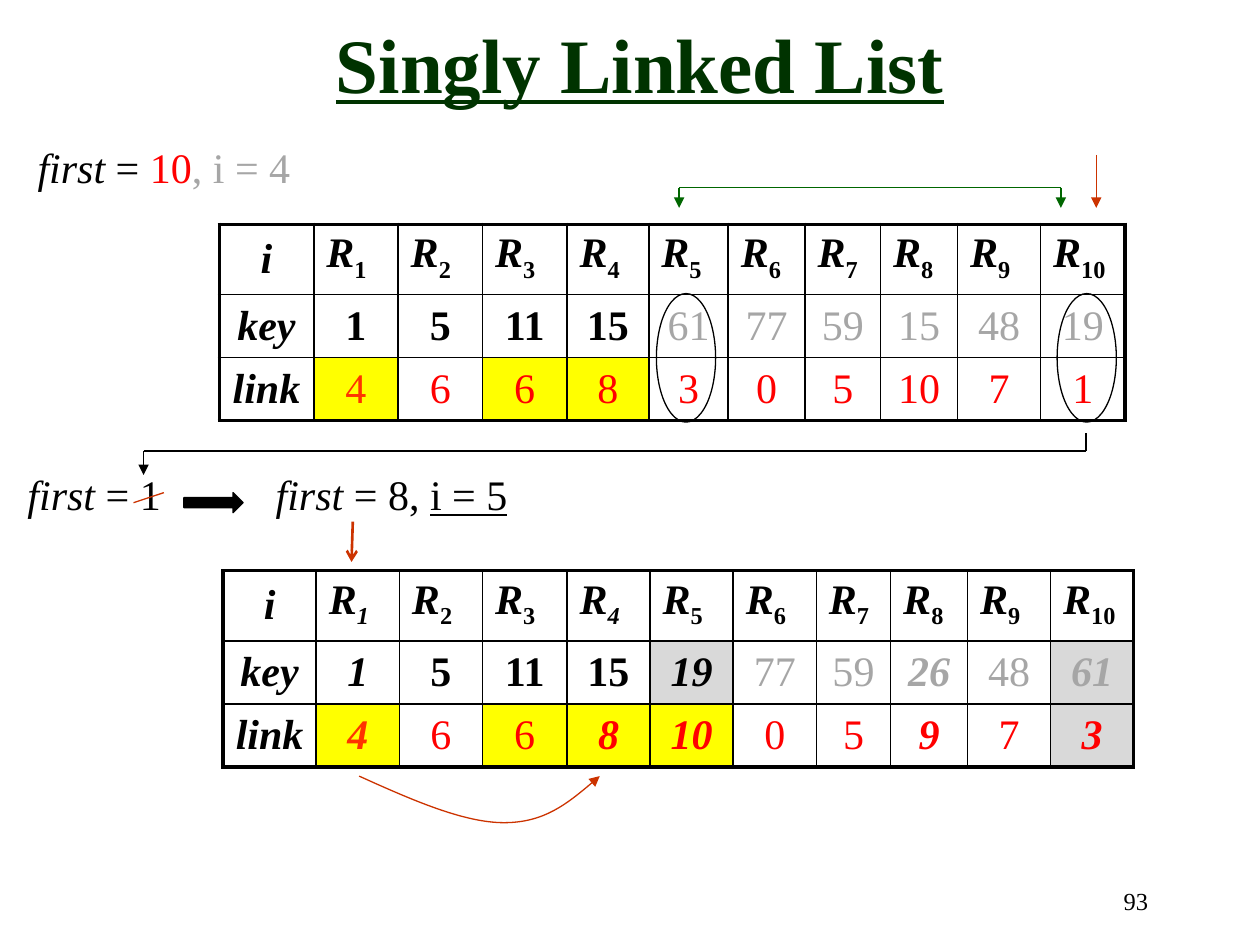
from dataclasses import dataclass
from itertools import product

from lxml.etree import SubElement
from pptx import Presentation
from pptx.dml.color import RGBColor
from pptx.enum.shapes import MSO_CONNECTOR as Connector, MSO_SHAPE as Preset
from pptx.enum.text import MSO_ANCHOR as Anchor, MSO_AUTO_SIZE as AutoSize, PP_ALIGN as Align
from pptx.oxml.ns import qn
from pptx.util import Emu, Pt


def px(length):
    """100 px to the inch."""
    return Emu(length * 9144)


@dataclass(frozen=True)
class Theme:
    font: str = "Times New Roman"
    title_size: int = 44
    body_size: int = 24
    number_size: int = 14
    thin: float = 0.75
    rule: float = 1
    frame: float = 2.25
    black: str = "000000"
    title: str = "003300"
    red: str = "FF0000"
    orange: str = "FF3300"
    muted: str = "A6A6A6"
    swap: str = "006600"
    pointer: str = "CC3300"
    yellow: str = "FFFF00"
    shade: str = "D9D9D9"


THEME = Theme()


@dataclass(frozen=True)
class ListState:
    widths: tuple
    keys: tuple
    links: tuple
    sorted_count: int
    yellow_links: set
    changed: frozenset = frozenset()  # (row, column) in bold italics
    shaded: frozenset = frozenset()
    italic_subscripts: frozenset = frozenset()


BEFORE = ListState(
    widths=(75, 67, 67, 67, 65, 63, 61, 60, 61, 66, 67),
    keys=(1, 5, 11, 15, 61, 77, 59, 15, 48, 19),
    links=(4, 6, 6, 8, 3, 0, 5, 10, 7, 1),
    sorted_count=4, yellow_links={1, 3, 4})
AFTER = ListState(
    widths=(74, 66, 66, 67, 66, 66, 66, 59, 61, 66, 66),
    keys=(1, 5, 11, 15, 19, 77, 59, 26, 48, 61),
    links=(4, 6, 6, 8, 10, 0, 5, 9, 7, 3),
    sorted_count=5, yellow_links={1, 3, 4, 5},
    changed=frozenset({(1, 1), (1, 5), (1, 8), (1, 10),
                       (2, 1), (2, 4), (2, 5), (2, 8), (2, 10)}),
    shaded=frozenset({(1, 5), (1, 10), (2, 10)}),
    italic_subscripts=frozenset({1, 4}))


def set_font(font, size, color=THEME.black, bold=False, italic=False):
    font.name, font.size = THEME.font, Pt(size)
    font.bold, font.italic = bold, italic
    font.color.rgb = RGBColor.from_string(color)


def set_line(shape, color, width, head=None):
    shape.line.color.rgb = RGBColor.from_string(color)
    shape.line.width = Pt(width)
    if head:
        SubElement(shape._element.spPr.find(qn("a:ln")), qn("a:tailEnd"), type=head)


def add_line(shapes, start, end, color, width=THEME.thin, head=None):
    line = shapes.add_connector(Connector.STRAIGHT, *map(px, start + end))
    set_line(line, color, width, head)
    SubElement(line._element.spPr, qn("a:effectLst"))


def add_text(page, box, spans, size, align=Align.LEFT, bold=False, wrap=True, grow=False):
    """Spans are (text, color, italic, underline)."""
    shape = page.shapes.add_textbox(*map(px, box))
    frame = shape.text_frame
    frame.word_wrap = wrap
    if grow:
        frame.auto_size = AutoSize.SHAPE_TO_FIT_TEXT
    para = frame.paragraphs[0]
    para.alignment = align
    for text, color, italic, underline in spans:
        span = para.add_run()
        span.text = text
        set_font(span.font, size, color, bold, italic)
        span.font.underline = underline
    return frame


def add_caption(page, box, *spans, wrap=True):
    add_text(page, box, (("first", THEME.black, True, False),) + spans,
             THEME.body_size, wrap=wrap, grow=True)


def set_borders(cell, widths):
    for side, width in zip("LRTB", widths):
        border = SubElement(cell._tc.get_or_add_tcPr(), qn(f"a:ln{side}"), w=str(Pt(width)))
        fill = SubElement(border, qn("a:solidFill"))
        SubElement(fill, qn("a:srgbClr"), val=THEME.black)


def value_style(state, row, column):
    """Color, bold and italic of one key or link."""
    changed = (row, column) in state.changed
    if row == 1:
        is_sorted = column <= state.sorted_count
        return THEME.black if is_sorted else THEME.muted, is_sorted or changed, changed
    return THEME.orange if column == 1 else THEME.red, changed, changed


def add_state_table(page, left, top, state):
    rows = (("i", *(f"R{n}" for n in range(1, 11))),
            ("key", *state.keys), ("link", *state.links))
    last_row, last_column = len(rows) - 1, len(state.widths) - 1
    heights = (55, 50, 50)
    table = page.shapes.add_table(
        len(rows), len(state.widths), px(left), px(top),
        px(sum(state.widths)), px(sum(heights))).table
    table.first_row = table.horz_banding = False
    for column, width in zip(table.columns, state.widths):
        column.width = px(width)
    for row, height in zip(table.rows, heights):
        row.height = px(height)

    for row, column in product(range(len(rows)), range(len(state.widths))):
        cell, text = table.cell(row, column), str(rows[row][column])
        para = cell.text_frame.paragraphs[0]
        if row == 0 and column > 0:
            # Record name with its subscript
            for part, italic in ((text[0], True), (text[1:], column in state.italic_subscripts)):
                span = para.add_run()
                span.text = part
                set_font(span.font, THEME.body_size, bold=True, italic=italic)
            span.font._element.set("baseline", "-25000")
        else:
            style = value_style(state, row, column) if column else (THEME.black, True, True)
            para.add_run().text = text
            para.alignment = Align.CENTER
            set_font(para.font, THEME.body_size, *style)
            cell.vertical_anchor = Anchor.MIDDLE

        outer = (column == 0, column == last_column, row == 0, row == last_row)
        set_borders(cell, [THEME.frame if edge else THEME.rule for edge in outer])
        fill = THEME.shade if (row, column) in state.shaded else None
        if row == 2 and column in state.yellow_links:
            fill = THEME.yellow
        if fill:
            cell.fill.solid()
            cell.fill.fore_color.rgb = RGBColor.from_string(fill)
        else:
            cell.fill.background()


def add_preset(page, preset, box, fill=None):
    shape = page.shapes.add_shape(preset, *map(px, box))
    shape.shadow.inherit = False
    if fill:
        shape.fill.solid()
        shape.fill.fore_color.rgb = RGBColor.from_string(fill)
    else:
        shape.fill.background()
    set_line(shape, THEME.black, THEME.thin)


def add_curve(page, start, points, color):
    """Each three points are two handles and the end of one Bezier part."""
    builder = page.shapes.build_freeform(*map(px, start), scale=1.0)
    builder.add_line_segments([tuple(map(px, point)) for point in points], close=False)
    curve = builder.convert_to_shape()
    corners = list(curve._element.iter(qn("a:lnTo")))
    outline = corners[0].getparent()
    for first in range(0, len(corners), 3):
        bezier = SubElement(outline, qn("a:cubicBezTo"))
        for corner in corners[first:first + 3]:
            bezier.append(corner[0])
            outline.remove(corner)
    curve.shadow.inherit = False
    curve.fill.background()
    set_line(curve, color, THEME.thin, "triangle")


def add_before(page, left, top):
    """State before the swap, with the two records to exchange."""
    add_caption(page, (left, top, 223, 51), (" = ", THEME.black, False, False),
                ("10", THEME.red, False, False), (", i = 4", THEME.muted, False, False), wrap=False)
    add_state_table(page, left + 154, top + 71, BEFORE)
    # Swap bracket and pointer
    bracket = page.shapes.add_group_shape().shapes
    ends, bar, tip = (left + 519, left + 822), top + 42, top + 58
    add_line(bracket, (ends[0], bar), (ends[1], bar), THEME.swap)
    for x in ends:
        add_line(bracket, (x, bar), (x, tip), THEME.swap, head="triangle")
    add_line(page.shapes, (left + 850, top + 16), (left + 850, tip), THEME.pointer, head="triangle")
    for x in (left + 501, left + 819):
        add_preset(page, Preset.OVAL, (x, top + 126, 47, 102))


def add_after(page, left, top):
    """State after the swap, with the new value of first."""
    # Path from the last link to first
    route = page.shapes.add_group_shape().shapes
    start, end, bar = left + 850, left + 102, top - 9
    add_line(route, (start, top - 23), (start, bar), THEME.black)
    add_line(route, (end, bar), (start, bar), THEME.black)
    add_line(route, (end, bar), (end, top + 10), THEME.black, head="triangle")
    # Old and new first
    add_caption(page, (left, top, 220, 50), (" = 1", THEME.black, False, False))
    add_line(page.shapes, (left + 94, top + 32), (left + 118, top + 24), THEME.pointer)
    add_preset(page, Preset.RIGHT_ARROW, (left + 134, top + 24, 47, 16), THEME.black)
    add_caption(page, (left + 197, top, 220, 50), (" = 8, ", THEME.black, False, False),
                ("i = 5", THEME.black, False, True))
    add_line(page.shapes, (left + 268, top + 47), (left + 267, top + 79),
             THEME.pointer, 1.5, "arrow")
    add_state_table(page, left + 165, top + 86, AFTER)
    # Link from R1 to R4
    path_points = ((315, 268), (356, 286), (388, 286), (420, 286), (442, 268), (464, 249))
    add_curve(page, (left + 273, top + 249),
              [(left + x, top + y) for x, y in path_points], THEME.pointer)


def main():
    deck = Presentation()
    deck.slide_width, deck.slide_height = px(1000), px(750)
    page = deck.slides.add_slide(deck.slide_layouts[6])
    title = add_text(page, (146, 0, 724, 100), [("Singly Linked List", THEME.title, False, True)],
                     THEME.title_size, Align.CENTER, bold=True)
    title.vertical_anchor = Anchor.MIDDLE
    add_before(page, 20, 107)
    add_after(page, 12, 367)
    add_text(page, (713, 698, 208, 50), [("93", THEME.black, False, False)],
             THEME.number_size, Align.RIGHT)
    deck.save("out.pptx")


if __name__ == "__main__":
    main()
